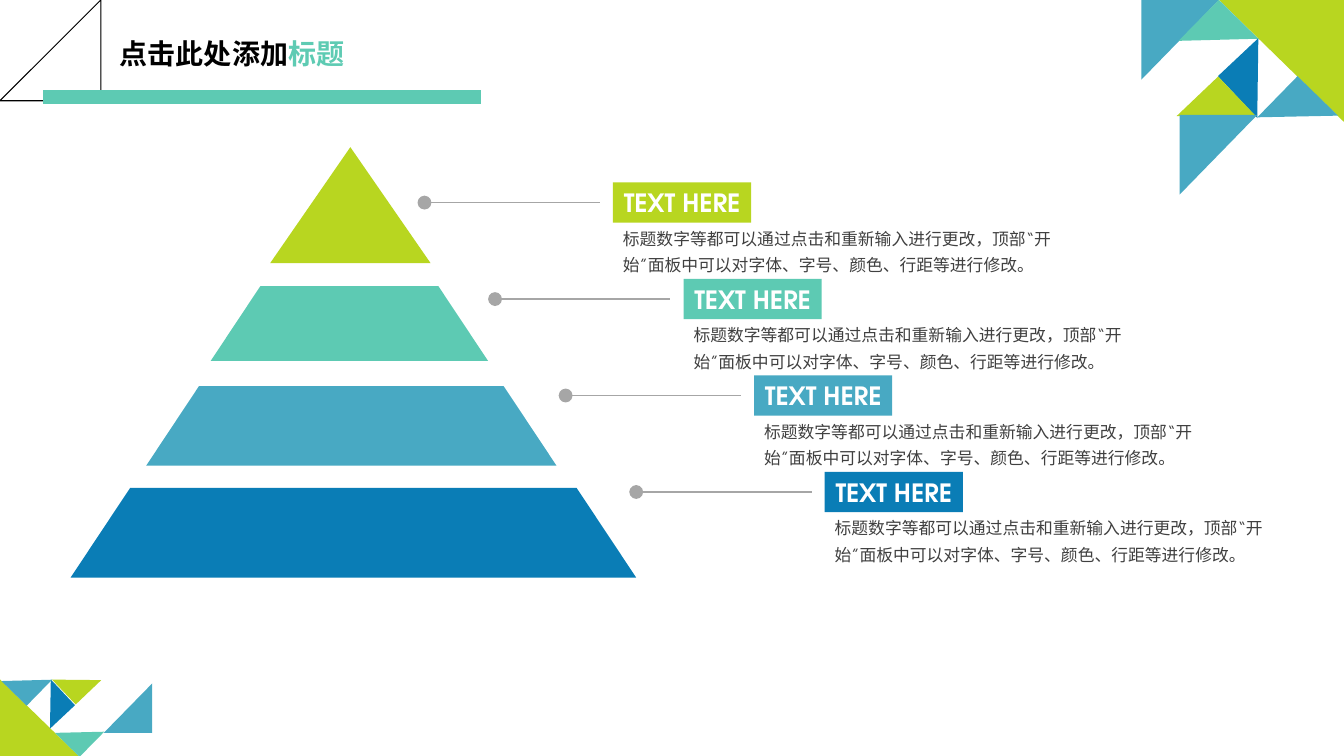
from lxml import etree
from pptx import Presentation
from pptx.dml.color import RGBColor
from pptx.enum.shapes import MSO_CONNECTOR, MSO_SHAPE as SHAPE
from pptx.enum.text import MSO_ANCHOR as ANCHOR, PP_ALIGN as ALIGN
from pptx.oxml.ns import qn
from pptx.util import Inches, Pt

FONT = "TeX Gyre Adventor"
COLORS = {
    "lime": "B8D620", "mint": "5DCAB3", "sky": "48A9C3", "blue": "0A7DB6",
    "title_mint": "5ECBB3", "black": "000000", "white": "FFFFFF",
    "dark": "404040", "gray": "A6A6A6",
}
TITLE = [("点击此处添加", "black"), ("标题", "title_mint")]
LABEL = "TEXT HERE"
DETAIL = "标题数字等都可以通过点击和重新输入进行更改，顶部“开始”面板中可以对字体、字号、颜色、行距等进行修改。"
LEVELS = [
    ("lime", (2.68, 1.46, 1.59, 1.15)),
    ("mint", (2.09, 2.84, 2.75, 0.74)),
    ("sky", (1.45, 3.83, 4.07, 0.79)),
    ("blue", (0.7, 4.84, 5.61, 0.89)),
]
CORNER_TRIANGLES = [
    ("lime", (0.01, 6.73, 0.76, 0.78), 90),
    ("mint", (0.62, 7.09, 0.34, 0.35), 44.5),
    ("blue", (0.33, 6.81, 0.34, 0.35), 316.8),
    ("sky", (0.09, 6.57, 0.35, 0.36), 44.3),
    ("lime", (0.59, 6.57, 0.34, 0.35), 46.4),
    ("sky", (1.03, 6.78, 0.48, 0.49), 0),
    ("lime", (12.1, -0.02, 1.22, 1.25), 270),
    ("sky", (11.32, 0, 0.77, 0.79), 180),
    ("mint", (11.81, 0.11, 0.55, 0.57), 224.5),
    ("blue", (12.2, 0.49, 0.55, 0.57), 136.8),
    ("sky", (12.59, 0.87, 0.56, 0.57), 224.3),
    ("lime", (11.79, 0.87, 0.55, 0.57), 226.4),
    ("sky", (11.7, 1.14, 0.77, 0.79), 180),
]
TAG_OUTLINE = [
    (0.93, 0.33), (0.71, 0.33), (0.68, 0.34), (0.43, 0.58), (0.43, 0.61),
    (0.66, 0.84), (0.67, 0.84), (0.69, 0.84), (0.77, 0.76), (0.77, 0.7),
    (0.67, 0.79), (0.48, 0.6), (0.71, 0.37), (0.71, 0.36), (0.91, 0.36),
    (0.91, 0.56), (0.85, 0.62), (0.85, 0.48), (0.87, 0.45), (0.87, 0.43),
    (0.86, 0.42), (0.84, 0.41), (0.82, 0.41), (0.8, 0.42), (0.79, 0.44),
    (0.79, 0.47), (0.81, 0.48), (0.81, 0.78), (0.83, 0.8), (0.85, 0.78),
    (0.85, 0.68), (0.94, 0.59), (0.95, 0.56), (0.95, 0.35), (0.94, 0.33),
]
CALLOUT_LEFT, CALLOUT_TOP = 6.08, 1.81
STEP_X, STEP_Y = 0.7, 0.957
LABEL_WIDTH, LABEL_HEIGHT = 1.37, 0.4
DETAIL_DROP, DETAIL_WIDTH, DETAIL_HEIGHT = 0.35, 4.59, 0.6
LEADER_GAP, LEADER_LENGTH = 0.13, 1.74

deck = Presentation()
deck.slide_width, deck.slide_height = Inches(13.33), Inches(7.5)
slide = deck.slides.add_slide(deck.slide_layouts[6])
shapes = slide.shapes


def rgb(name):
    return RGBColor.from_string(COLORS[name])


def box(values):
    return [Inches(value) for value in values]


def paint(shape, color):
    shape.shadow.inherit = False
    shape.fill.solid()
    shape.fill.fore_color.rgb = rgb(color)
    shape.line.fill.background()


def add_block(kind, area, color, rotation=0, adjust=None):
    block = shapes.add_shape(kind, *box(area))
    paint(block, color)
    block.rotation = rotation
    if adjust is not None:
        block.adjustments[0] = adjust
    return block


def write(holder, runs, size, bold=False, align=ALIGN.LEFT, anchor=ANCHOR.TOP,
          spacing=1.0, wrap=True):
    frame = holder.text_frame
    frame.word_wrap = wrap
    frame.vertical_anchor = anchor
    paragraph = frame.paragraphs[0]
    paragraph.alignment = align
    paragraph.line_spacing = spacing
    for text, color in runs:
        run = paragraph.add_run()
        run.text = text
        run.font.size = Pt(size)
        run.font.bold = bold
        run.font.name = FONT
        run.font.color.rgb = rgb(color)
        east_asian = etree.SubElement(run.font._element, qn("a:ea"))
        east_asian.set("typeface", FONT)


def add_line(start, end, color, width, dot=False):
    line = shapes.add_connector(MSO_CONNECTOR.STRAIGHT, *box(start + end))
    line.line.color.rgb = rgb(color)
    line.line.width = Pt(width)
    if dot:
        head = etree.SubElement(line.line._get_or_add_ln(), qn("a:headEnd"))
        for key, value in (("type", "oval"), ("w", "lg"), ("len", "lg")):
            head.set(key, value)
    etree.SubElement(line._element.spPr, qn("a:effectLst"))


pen = shapes.build_freeform(*TAG_OUTLINE[0], scale=Inches(1))
pen.add_line_segments(TAG_OUTLINE[1:], close=True)
tag = pen.convert_to_shape()
paint(tag, "dark")
tag.line.color.rgb = rgb("black")
tag.line.width = Pt(0.75)

add_line((0.43, 0.96), (4.77, 0.96), "mint", 10)
for color, area, rotation in CORNER_TRIANGLES:
    add_block(SHAPE.ISOSCELES_TRIANGLE, area, color, rotation, adjust=1)

title = shapes.add_textbox(*box((1.09, 0.26, 4.88, 0.58)))
write(title, TITLE, 20, bold=True, anchor=ANCHOR.MIDDLE, spacing=0.9)

for row, (color, area) in enumerate(LEVELS):
    if row == 0:
        add_block(SHAPE.ISOSCELES_TRIANGLE, area, color)
    else:
        add_block(SHAPE.TRAPEZOID, area, color, adjust=0.664)

    left = CALLOUT_LEFT + row * STEP_X
    top = CALLOUT_TOP + row * STEP_Y
    middle = top + LABEL_HEIGHT / 2
    leader_end = left - LEADER_GAP
    add_line((leader_end - LEADER_LENGTH, middle), (leader_end, middle), "gray", 1, dot=True)

    label = add_block(SHAPE.RECTANGLE, (left, top, LABEL_WIDTH, LABEL_HEIGHT), color)
    write(label, [(LABEL, "white")], 18, bold=True, align=ALIGN.CENTER,
          anchor=ANCHOR.MIDDLE, wrap=False)

    detail = shapes.add_textbox(*box((left, top + DETAIL_DROP, DETAIL_WIDTH, DETAIL_HEIGHT)))
    write(detail, [(DETAIL, "dark")], 12, spacing=1.3)

deck.save("out.pptx")
